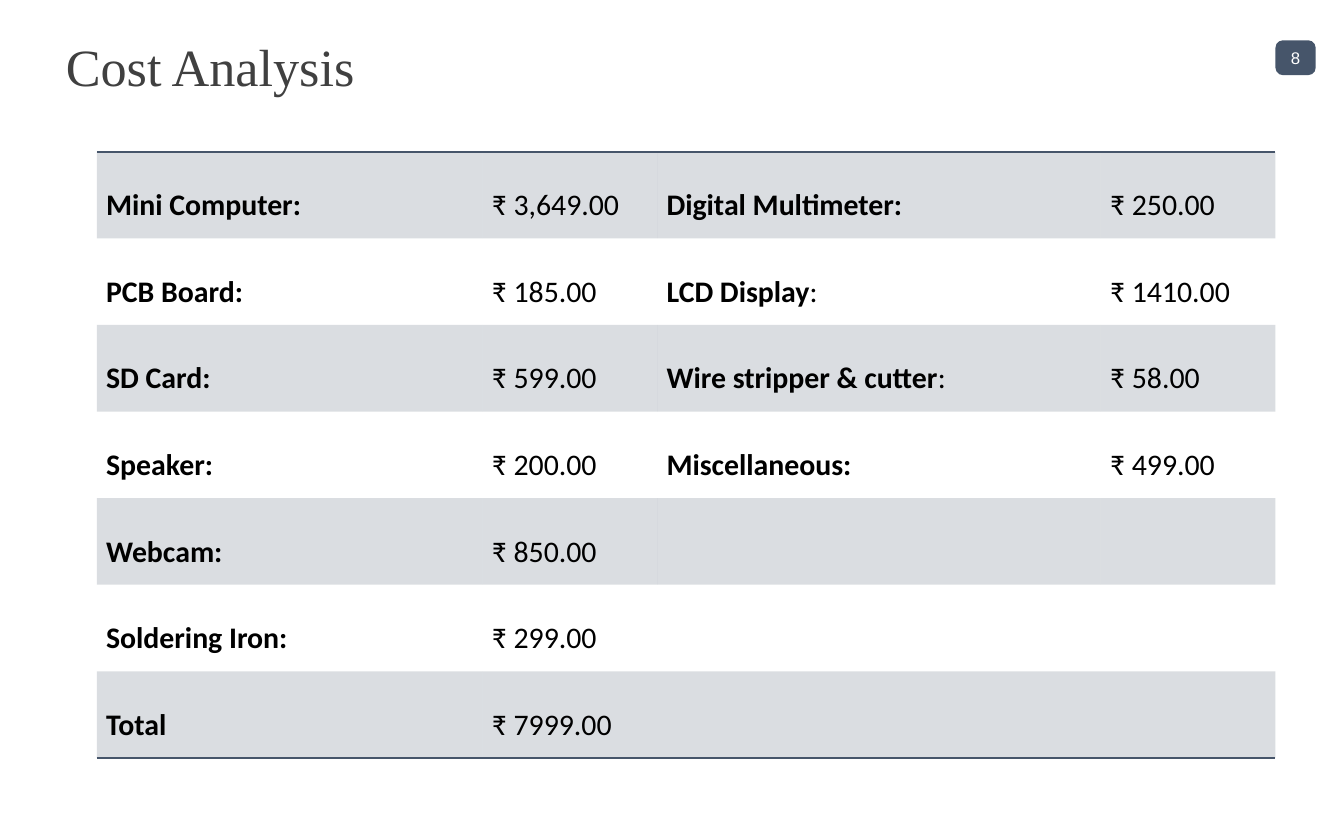
from lxml import etree
from pptx import Presentation
from pptx.dml.color import RGBColor
from pptx.enum.shapes import MSO_SHAPE
from pptx.enum.text import MSO_ANCHOR, PP_ALIGN
from pptx.oxml.ns import qn
from pptx.util import Inches, Pt

ROUNDED = MSO_SHAPE.ROUNDED_RECTANGLE
MIDDLE = MSO_ANCHOR.MIDDLE
LEFT, CENTER, JUSTIFY = PP_ALIGN.LEFT, PP_ALIGN.CENTER, PP_ALIGN.JUSTIFY
SLATE = "46556A"
NO_STYLE = "{2D5ABB26-0587-4C30-8999-92F81FD0307C}"

COLUMN_WIDTHS = [2.87, 1.3, 3.3, 1.3]
# Labels are bold up to "|"
COSTS = [
    ["Mini Computer:", "₹ 3,649.00", "Digital Multimeter:", "₹ 250.00"],
    ["PCB Board:", "₹ 185.00", "LCD Display|:", "₹ 1410.00"],
    ["SD Card:", "₹ 599.00", "Wire stripper & cutter|:", "₹ 58.00"],
    ["Speaker:", "₹ 200.00", "Miscellaneous:", "₹ 499.00"],
    ["Webcam:", "₹ 850.00", "", ""],
    ["Soldering Iron:", "₹ 299.00", "", ""],
    ["Total", "₹ 7999.00", "", ""],
]


def paint(color_format, color):
    color_format.rgb = RGBColor.from_string(color)


def style_run(run, font, size, color, bold=False):
    run.font.name = font
    run.font.size = Pt(size)
    run.font.bold = bold
    paint(run.font.color, color)


def set_margins(target, left, top, right, bottom):
    target.margin_left, target.margin_right = Inches(left), Inches(right)
    target.margin_top, target.margin_bottom = Inches(top), Inches(bottom)


def add_title(slide, left, top, width, height):
    frame = slide.shapes.add_textbox(
        Inches(left), Inches(top), Inches(width), Inches(height)).text_frame
    frame.word_wrap = True
    frame.vertical_anchor = MIDDLE
    set_margins(frame, 0, 0.04, 0, 0.04)
    frame.text = "Cost Analysis"
    style_run(frame.paragraphs[0].runs[0], "Times New Roman", 28, "404040")


def add_page_badge(slide, left, top, width, height):
    badge = slide.shapes.add_shape(
        ROUNDED, Inches(left), Inches(top), Inches(width), Inches(height))
    badge.adjustments[0] = 0.217
    badge.shadow.inherit = False
    badge.fill.solid()
    paint(badge.fill.fore_color, SLATE)
    badge.line.fill.background()
    frame = badge.text_frame
    frame.word_wrap = False
    frame.vertical_anchor = MIDDLE
    set_margins(frame, 0, 0, 0, 0)
    frame.text = "8"
    frame.paragraphs[0].alignment = CENTER
    style_run(frame.paragraphs[0].runs[0], "Arial", 9, "FFFFFF")


def tint_cell(cell, color, opacity):
    cell.fill.solid()
    paint(cell.fill.fore_color, color)
    tone = cell._tc.tcPr.find(".//" + qn("a:srgbClr"))
    etree.SubElement(tone, qn("a:alpha"), val=str(opacity * 1000))


def add_rule(cell, side, color, points):
    rule = etree.Element(qn("a:ln" + side), w=str(Pt(points)))
    solid = etree.SubElement(rule, qn("a:solidFill"))
    etree.SubElement(solid, qn("a:srgbClr"), val=color)
    cell._tc.get_or_add_tcPr().insert(0, rule)


def write_cell(cell, text, is_label):
    cell.vertical_anchor = MIDDLE
    set_margins(cell, 0.07, 0.02, 0.07, 0)
    paragraph = cell.text_frame.paragraphs[0]
    paragraph.alignment = LEFT if is_label else JUSTIFY
    paragraph.line_spacing = 1.5
    paragraph.space_before = Pt(6)
    for index, part in enumerate(text.split("|")):
        run = paragraph.add_run()
        run.text = part
        style_run(run, "Calibri", 16, "000000", is_label and index == 0)


def add_cost_table(slide, left, top, width, height):
    last = len(COSTS) - 1
    table = slide.shapes.add_table(
        len(COSTS), len(COLUMN_WIDTHS),
        Inches(left), Inches(top), Inches(width), Inches(height)).table
    table.first_row = table.horz_banding = False
    table._tbl.tblPr.find(qn("a:tableStyleId")).text = NO_STYLE
    for column, column_width in zip(table.columns, COLUMN_WIDTHS):
        column.width = Inches(column_width)

    for r, row in enumerate(COSTS):
        for c, text in enumerate(row):
            cell = table.cell(r, c)
            if text:
                write_cell(cell, text, c % 2 == 0)
            # Every other row is tinted
            if r % 2 == 0:
                tint_cell(cell, SLATE, 20)
            else:
                cell.fill.background()
            # Rules close the table above and below
            if r == 0:
                add_rule(cell, "T", SLATE, 1)
            elif r == last:
                add_rule(cell, "B", SLATE, 1)
    table.cell(last, 1).merge(table.cell(last, 3))


prs = Presentation()
prs.slide_width, prs.slide_height = Inches(10), Inches(6.25)
cost_slide = prs.slides.add_slide(prs.slide_layouts[6])
add_page_badge(cost_slide, 9.49, 0.3, 0.3, 0.26)
add_title(cost_slide, 0.49, 0.29, 9, 0.39)
add_cost_table(cost_slide, 0.72, 1.13, sum(COLUMN_WIDTHS), 4.51)
prs.save("out.pptx")
